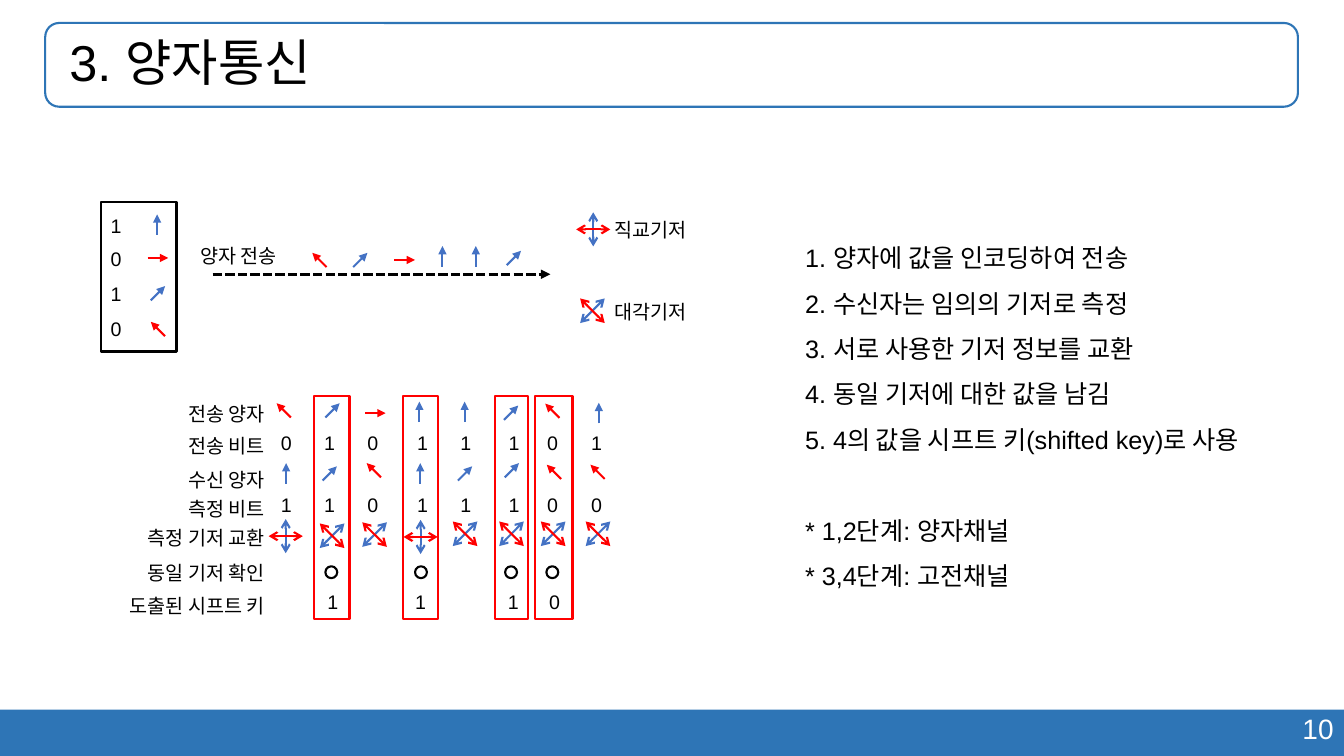
from dataclasses import dataclass

import lxml.etree
import pptx
import pptx.dml.color
import pptx.enum.dml
import pptx.enum.shapes
import pptx.enum.text
import pptx.oxml.ns
import pptx.util

Cm, Pt = pptx.util.Cm, pptx.util.Pt
SHAPE = pptx.enum.shapes.MSO_SHAPE
ALIGN = pptx.enum.text.PP_ALIGN
ANCHOR = pptx.enum.text.MSO_ANCHOR

FONT = "Arial"
BLACK, WHITE, RED, BLUE, BAR_BLUE = "000000", "FFFFFF", "FF0000", "4472C4", "2E75B6"
LABEL_HEIGHT = 0.81


@dataclass
class Polarization:
    """Half extents in cm from tail to tip, and the colour."""
    dx: float
    dy: float
    color: str


@dataclass
class Mark:
    """A photon or basis symbol around its centre, in cm."""
    symbol: str
    x: float
    y: float


@dataclass
class Label:
    text: str
    x: float
    y: float
    width: float = 0.76
    align: ALIGN = ALIGN.LEFT


@dataclass
class KeyColumn:
    """A column where both bases agree."""
    x: float
    width: float
    circle_x: float
    digit_x: float
    digit: str


PHOTONS = {
    "↑": Polarization(0, -0.26, BLUE),
    "→": Polarization(0.26, 0, RED),
    "↗": Polarization(0.18, -0.18, BLUE),
    "↖": Polarization(-0.18, -0.18, RED),
}
BASES = {
    "+": (Polarization(0, -0.43, BLUE), Polarization(0.43, 0, RED)),
    "×": (Polarization(0.31, -0.31, BLUE), Polarization(0.31, 0.31, RED)),
}


def rgb(color: str) -> pptx.dml.color.RGBColor:
    return pptx.dml.color.RGBColor.from_string(color)


def add_box(shapes, kind: SHAPE, x: float, y: float, width: float, height: float,
            line: str = "", fill: str = "") -> None:
    shape = shapes.add_shape(kind, Cm(x), Cm(y), Cm(width), Cm(height))
    shape.shadow.inherit = False
    if fill:
        shape.fill.solid()
        shape.fill.fore_color.rgb = rgb(fill)
    else:
        shape.fill.background()
    if line:
        shape.line.color.rgb = rgb(line)
        shape.line.width = Pt(1.5)
    else:
        shape.line.fill.background()


def add_text(shapes, text: str, x: float, y: float, width: float, height: float,
             size: float = 14, color: str = BLACK, align: ALIGN = ALIGN.LEFT,
             spacing: float = 1.0, tabs: tuple[float, ...] = ()):
    frame = shapes.add_textbox(Cm(x), Cm(y), Cm(width), Cm(height)).text_frame
    frame.word_wrap = True
    frame.text = text
    for paragraph in frame.paragraphs:
        if tabs:
            properties = paragraph._p.get_or_add_pPr()
            tab_list = lxml.etree.SubElement(properties, pptx.oxml.ns.qn("a:tabLst"))
            for stop in tabs:
                lxml.etree.SubElement(tab_list, pptx.oxml.ns.qn("a:tab"),
                                      pos=str(int(Cm(stop))), algn="l")
        paragraph.alignment = align
        paragraph.line_spacing = spacing
        for run in paragraph.runs:
            run.font.name = FONT
            run.font.size = Pt(size)
            run.font.color.rgb = rgb(color)
    return frame


def add_arrow(shapes, x1: float, y1: float, x2: float, y2: float, color: str,
              width: float = 1.5, dashed: bool = False, two_way: bool = False) -> None:
    connector = shapes.add_connector(pptx.enum.shapes.MSO_CONNECTOR.STRAIGHT,
                                     Cm(x1), Cm(y1), Cm(x2), Cm(y2))
    connector.line.color.rgb = rgb(color)
    connector.line.width = Pt(width)
    if dashed:
        connector.line.dash_style = pptx.enum.dml.MSO_LINE.SQUARE_DOT
    line = connector.line._get_or_add_ln()
    for end in ("a:headEnd", "a:tailEnd") if two_way else ("a:tailEnd",):
        lxml.etree.SubElement(line, pptx.oxml.ns.qn(end),
                              type="arrow" if two_way else "triangle")
    lxml.etree.SubElement(connector._element.spPr, pptx.oxml.ns.qn("a:effectLst"))


def add_direction(shapes, mark: Mark, direction: Polarization, two_way: bool) -> None:
    add_arrow(shapes, mark.x - direction.dx, mark.y - direction.dy,
              mark.x + direction.dx, mark.y + direction.dy,
              direction.color, two_way=two_way)


def add_mark(shapes, mark: Mark) -> None:
    if mark.symbol in PHOTONS:
        add_direction(shapes, mark, PHOTONS[mark.symbol], False)
        return
    group = shapes.add_group_shape()
    for direction in BASES[mark.symbol]:
        add_direction(group.shapes, mark, direction, True)


ENCODING = [Mark("↑", 3.96, 5.66), Mark("→", 3.98, 6.5), Mark("↗", 3.98, 7.39), Mark("↖", 3.98, 8.29)]
IN_FLIGHT = [Mark("↖", 8.05, 6.55), Mark("↗", 9.08, 6.55), Mark("→", 10.2, 6.55),
             Mark("↑", 11.15, 6.46), Mark("↑", 11.99, 6.46), Mark("↗", 12.95, 6.5)]
BASIS_KEY = [Mark("+", 14.95, 5.78), Mark("×", 14.93, 7.83)]
SENT = [Mark("↖", 7.15, 10.34), Mark("↗", 8.38, 10.34), Mark("→", 9.46, 10.41), Mark("↑", 10.57, 10.38),
        Mark("↑", 11.71, 10.38), Mark("↗", 12.88, 10.4), Mark("↖", 13.92, 10.35), Mark("↑", 15.09, 10.41)]
RECEIVED = [Mark("↑", 7.21, 11.93), Mark("↗", 8.31, 11.93), Mark("↖", 9.42, 11.85), Mark("↑", 10.59, 11.93),
            Mark("↗", 11.72, 11.93), Mark("↗", 12.9, 11.85), Mark("↖", 13.96, 11.89), Mark("↖", 15.06, 11.89)]
EXCHANGED = [Mark("+", 7.2, 13.51), Mark("×", 8.37, 13.5), Mark("×", 9.44, 13.47), Mark("+", 10.6, 13.53),
             Mark("×", 11.72, 13.45), Mark("×", 12.89, 13.45), Mark("×", 13.94, 13.45), Mark("×", 15.07, 13.45)]

ROW_NAMES = [("전송 양자", 10.01), ("전송 비트", 10.82), ("수신 양자", 11.66), ("측정 비트", 12.4),
             ("측정 기저 교환", 13.13), ("동일 기저 확인", 14.02), ("도출된 시프트 키", 14.83)]
LABELS = [Label("1", 2.54, 5.26), Label("0", 2.54, 6.1), Label("1", 2.54, 6.99), Label("0", 2.54, 7.87),
          Label("양자 전송", 4.8, 6.02, 2.6),
          Label("직교기저", 15.24, 5.36, 2.5), Label("대각기저", 15.24, 7.44, 2.5)]
LABELS += [Label(name, 2.71, y, 4.22, ALIGN.RIGHT) for name, y in ROW_NAMES]

BIT_ROWS = [("01011101", 10.74), ("11011100", 12.29)]
BIT_TABS = (1.09, 2.18, 3.43, 4.52, 5.74, 6.71, 7.82)
KEY_COLUMNS = [KeyColumn(7.92, 0.89, 8.2, 8.0, "1"), KeyColumn(10.16, 0.89, 10.46, 10.21, "1"),
               KeyColumn(12.47, 0.84, 12.73, 12.55, "1"), KeyColumn(13.49, 0.94, 13.77, 13.59, "0")]

STEPS = ["1. 양자에 값을 인코딩하여 전송", "2. 수신자는 임의의 기저로 측정",
         "3. 서로 사용한 기저 정보를 교환", "4. 동일 기저에 대한 값을 남김",
         "5. 4의 값을 시프트 키(shifted key)로 사용"]
CHANNELS = ["* 1,2단계: 양자채널", "* 3,4단계: 고전채널"]


def main() -> None:
    presentation = pptx.Presentation()
    presentation.slide_width, presentation.slide_height = Cm(33.87), Cm(19.05)
    slide = presentation.slides.add_slide(presentation.slide_layouts[6])
    shapes = slide.shapes

    # Footer and title
    add_box(shapes, SHAPE.RECTANGLE, 0, 17.88, 33.87, 1.17, fill=BAR_BLUE)
    add_text(shapes, "10", 23.95, 17.81, 9.91, 1.12, 20, WHITE, ALIGN.RIGHT)
    add_box(shapes, SHAPE.ROUNDED_RECTANGLE, 1.14, 0.58, 31.57, 2.11, line=BAR_BLUE)
    title = add_text(shapes, "3. 양자통신", 1.14, 0.58, 31.57, 2.11, 36, spacing=0.9)
    title.vertical_anchor = ANCHOR.MIDDLE
    title.margin_left = Cm(0.61)

    # Encoding table and transmission line
    add_box(shapes, SHAPE.RECTANGLE, 2.54, 5.08, 1.91, 3.78, line=BLACK)
    add_arrow(shapes, 5.36, 6.91, 13.87, 6.91, BLACK, 2.25, dashed=True)

    # Photons, bases and labels
    for mark in ENCODING + IN_FLIGHT + BASIS_KEY + SENT + RECEIVED + EXCHANGED:
        add_mark(shapes, mark)
    for label in LABELS:
        add_text(shapes, label.text, label.x, label.y, label.width, LABEL_HEIGHT, align=label.align)
    for bits, y in BIT_ROWS:
        add_text(shapes, "\t".join(bits), 6.83, y, 9.17, 0.86, tabs=BIT_TABS)

    # Columns kept for the shifted key
    for column in KEY_COLUMNS:
        add_box(shapes, SHAPE.RECTANGLE, column.x, 9.98, column.width, 5.61, line=RED)
        add_box(shapes, SHAPE.OVAL, column.circle_x, 14.27, 0.3, 0.3, line=BLACK)
        add_text(shapes, column.digit, column.digit_x, 14.73, 0.76, LABEL_HEIGHT)

    # Protocol steps
    steps = add_text(shapes, "\n".join(STEPS + CHANNELS), 20.04, 5.61, 12.4, 9.5, 18, spacing=1.5)
    steps.paragraphs[len(STEPS)].space_before = Pt(32.4)

    presentation.save("out.pptx")


if __name__ == "__main__":
    main()
